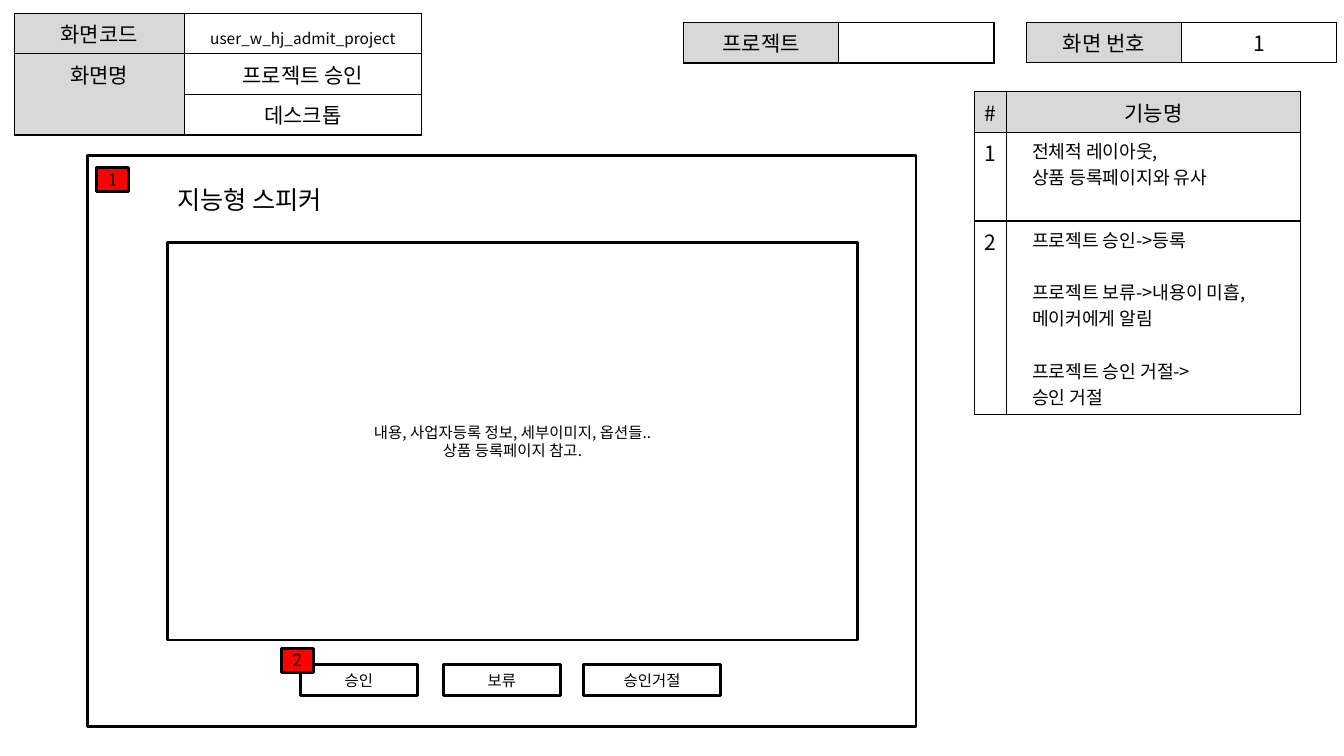
from lxml.etree import SubElement
from pptx import Presentation
from pptx.dml.color import RGBColor
from pptx.enum.shapes import MSO_SHAPE as SHAPE
from pptx.enum.text import MSO_ANCHOR as ANCHOR, PP_ALIGN as ALIGN
from pptx.oxml.ns import qn
from pptx.util import Pt

FONT = "Noto Sans CJK KR"
COLORS = {"ink": "000000", "label": "D8D8D8", "paper": "FFFFFF", "badge": "FF0000"}
ROW = 29


def color(name):
    return RGBColor.from_string(COLORS[name])


def paint(fill, name):
    fill.solid()
    fill.fore_color.rgb = color(name)


def write(tf, lines, size, align=ALIGN.CENTER):
    tf.text = "\n".join(lines)
    for p in tf.paragraphs:
        p.alignment = align
        for r in p.runs:
            r.font.size = Pt(size)
            r.font.name = FONT
            r.font.color.rgb = color("ink")
            SubElement(r.font._element, qn("a:ea"), typeface=FONT)


def style_cell(cell, fill):
    tcPr = cell._tc.get_or_add_tcPr()
    for side in ("lnL", "lnR", "lnT", "lnB"):
        ln = SubElement(tcPr, qn(f"a:{side}"), w=str(Pt(0.96)))
        SubElement(SubElement(ln, qn("a:solidFill")), qn("a:srgbClr"), val=COLORS["ink"])
    paint(cell.fill, fill)


def add_grid(slide, left, top, cols, rows, texts, is_label):
    frame = slide.shapes.add_table(len(rows), len(cols), Pt(left), Pt(top),
                                   Pt(sum(cols)), Pt(sum(rows)))
    table = frame.table
    table.first_row = table.horz_banding = False
    for col, width in zip(table.columns, cols):
        col.width = Pt(width)
    for row, height in zip(table.rows, rows):
        row.height = Pt(height)
    for i, row_texts in enumerate(texts):
        for j, text in enumerate(row_texts):
            cell = table.cell(i, j)
            style_cell(cell, "label" if is_label(i, j) else "paper")
            if text:
                write(cell.text_frame, [text], 15)
    return table


def screen_info(slide, left, top):
    texts = [["화면코드", "user_w_hj_admit_project"], ["화면명", "프로젝트 승인"], ["", "데스크톱"]]
    table = add_grid(slide, left, top, [121.7, 169.2], [ROW] * 3, texts, lambda i, j: j == 0)
    code = table.cell(0, 1)
    code.vertical_anchor = ANCHOR.BOTTOM
    code.text_frame.paragraphs[0].runs[0].font.size = Pt(11)
    table.cell(1, 0).merge(table.cell(2, 0))


def label_pair(slide, left, top, label, value):
    add_grid(slide, left, top, [110.9] * 2, [ROW], [[label, value]], lambda i, j: j == 0)


def write_notes(cell, groups):
    write(cell.text_frame, [line for group in groups for line in group], 13, ALIGN.LEFT)
    paragraphs = iter(cell.text_frame.paragraphs)
    for g, group in enumerate(groups):
        for n in range(len(group)):
            p = next(paragraphs)
            pPr = p._p.get_or_add_pPr()
            pPr.set("marL", str(Pt(10.8)))
            pPr.set("indent", "0")
            if g and n == 0:
                p.space_before = Pt(18.8)


def feature_list(slide, left, top):
    texts = [["#", "기능명"], ["1", ""], ["2", ""]]
    table = add_grid(slide, left, top, [23, 209.5], [ROW, 63.4, 138.2], texts,
                     lambda i, j: i == 0)
    write_notes(table.cell(1, 1), [["전체적 레이아웃,", "상품 등록페이지와 유사"]])
    write_notes(table.cell(2, 1), [["프로젝트 승인->등록"],
                                   ["프로젝트 보류->내용이 미흡, 메이커에게 알림"],
                                   ["프로젝트 승인 거절->", "승인 거절"]])


def add_box(slide, left, top, width, height, lines=(), size=11, fill=None):
    sp = slide.shapes.add_shape(SHAPE.RECTANGLE, Pt(left), Pt(top), Pt(width), Pt(height))
    sp.shadow.inherit = False
    if fill:
        paint(sp.fill, fill)
    else:
        sp.fill.background()
    sp.line.color.rgb = color("ink")
    sp.line.width = Pt(2)
    if lines:
        tf = sp.text_frame
        tf.word_wrap = True
        tf.vertical_anchor = ANCHOR.MIDDLE
        write(tf, lines, size)


def add_badge(slide, left, top, number):
    add_box(slide, left, top, 23, 17.3, [number], 12, "badge")


def wireframe(slide, left, top, width, height):
    add_box(slide, left, top, width, height)
    add_badge(slide, left + 6.5, top + 8.6, "1")
    inner = left + 56.9
    title = slide.shapes.add_textbox(Pt(inner), Pt(top + 17.3), Pt(475.2), Pt(28.8))
    title.text_frame.word_wrap = True
    write(title.text_frame, ["지능형 스피커"], 18, ALIGN.LEFT)
    add_box(slide, inner, top + 62.6, 493.2, 283.7,
            ["내용, 사업자등록 정보, 세부이미지, 옵션들..", "상품 등록페이지 참고."])
    for x, w, text in [(152, 83.5, "승인"), (254.2, 83.5, "보류"), (354.3, 97.9, "승인거절")]:
        add_box(slide, left + x, top + 363.6, w, 22.3, [text])
    add_badge(slide, left + 138.3, top + 352.1, "2")


def main():
    prs = Presentation()
    prs.slide_width, prs.slide_height = Pt(960), Pt(540)
    slide = prs.slides.add_slide(prs.slide_layouts[6])
    screen_info(slide, 10.1, 9.4)
    label_pair(slide, 733, 15.8, "화면 번호", "1")
    label_pair(slide, 488.2, 15.8, "프로젝트", "")
    feature_list(slide, 696.2, 65.5)
    wireframe(slide, 62.6, 110.9, 591.8, 408.2)
    prs.save("out.pptx")


if __name__ == "__main__":
    main()
